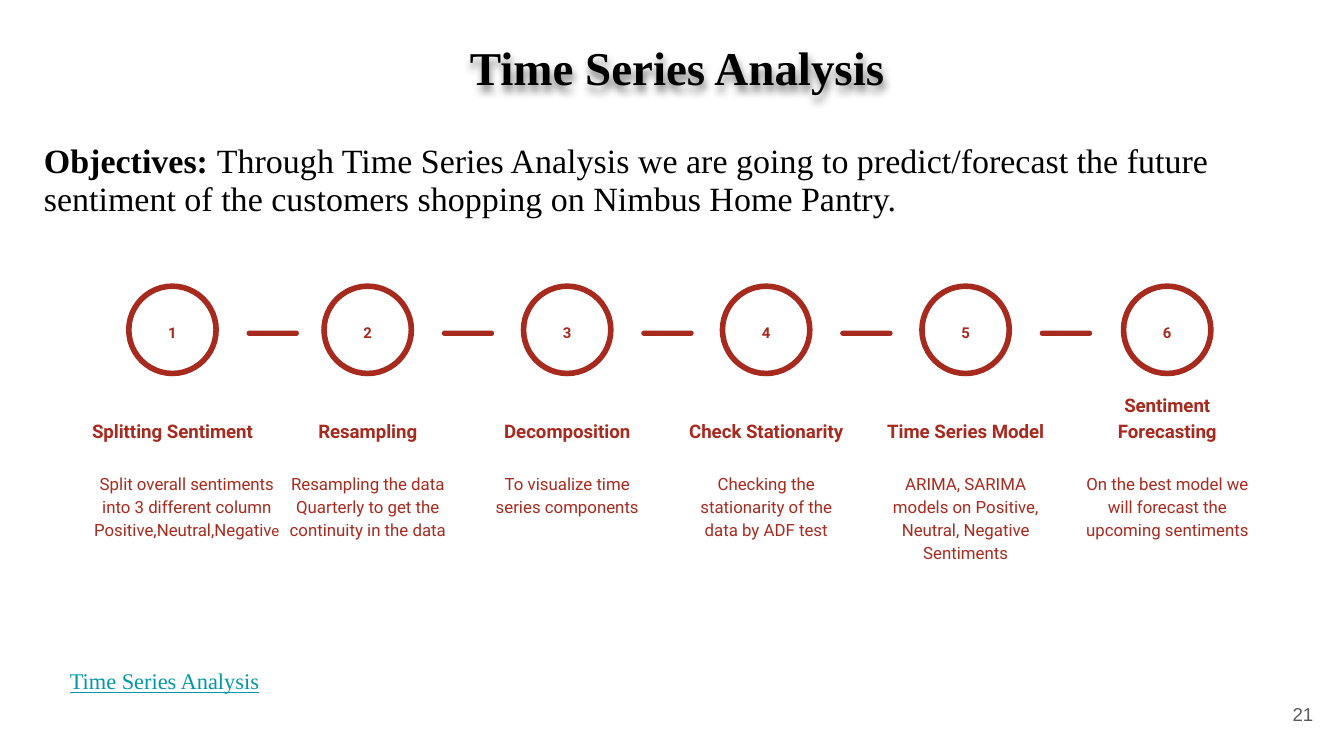
from lxml import etree
from pptx import Presentation
from pptx.dml.color import RGBColor
from pptx.enum import shapes, text
from pptx.oxml import parse_xml
from pptx.oxml.ns import nsdecls
from pptx.util import Cm, Pt

TITLE = "Time Series Analysis"
OBJECTIVE = [
    ("Objectives: ", "lead"),
    ("Through Time Series Analysis we are going to predict/forecast the future "
     "sentiment of the customers shopping on Nimbus Home Pantry.", "objective"),
]
LINK = "Time Series Analysis"
PAGE = "21"

# circle centre, heading width, body width (cm), heading, body runs
STEPS = [
    (3.26, 3.63, 4.17, "Splitting Sentiment",
     [("Split overall sentiments into 3 different column "
       "Positive,Neutral,Negativ", "body"), ("e", "small")]),
    (6.95, 3.63, 3.63, "Resampling",
     [("Resampling the data Quarterly to get the continuity in the data", "body")]),
    (10.72, 3.78, 3.78, "Decomposition",
     [("To visualize time series components", "body")]),
    (14.48, 3.63, 3.63, "Check Stationarity",
     [("Checking the stationarity of the data by ADF test", "body")]),
    (18.25, 3.78, 3.78, "Time Series Model",
     [("ARIMA, SARIMA models on Positive, Neutral, Negative Sentiments", "body")]),
    (22.06, 3.78, 3.78, "Sentiment Forecasting",
     [("On the best model we will forecast the upcoming sentiments", "body")]),
]

RED, BLACK, TEAL, GREY = (RGBColor.from_string(c) for c in
                          ("A72A1E", "000000", "0097A7", "595959"))
SERIF, SANS = "Times New Roman", "Roboto"
THEME = {
    "title": dict(name=SERIF, size=Pt(25.2), bold=True, color=BLACK),
    "lead": dict(name=SERIF, size=Pt(18.2), bold=True, color=BLACK),
    "objective": dict(name=SERIF, size=Pt(18.2), bold=False, color=BLACK),
    "number": dict(name=SANS, size=Pt(8), bold=True, color=RED),
    "heading": dict(name=SANS, size=Pt(10), bold=True, color=RED),
    "body": dict(name=SANS, size=Pt(9), color=RED),
    "small": dict(name=SANS, size=Pt(8), color=RED),
    "link": dict(name=SERIF, size=Pt(12), underline=True, color=TEAL),
    "page": dict(name="Arial", size=Pt(10), color=GREY),
}
CENTER, RIGHT = text.PP_ALIGN.CENTER, text.PP_ALIGN.RIGHT
BOTTOM, MIDDLE = text.MSO_ANCHOR.BOTTOM, text.MSO_ANCHOR.MIDDLE

CIRCLE, CIRCLE_TOP = 1.65, 5.41
DASH_W, DASH_H, DASH_TOP, DASH_OFFSET = 0.99, 0.1, 6.25, 1.4


def add_text(parent, box, runs, anchor=text.MSO_ANCHOR.TOP, **para):
    """Add a one-paragraph text box; runs are (wording, theme style) pairs."""
    sp = parent.add_textbox(*map(Cm, box))
    tf = sp.text_frame
    tf.word_wrap, tf.vertical_anchor = True, anchor
    for side in ("left", "top", "right", "bottom"):
        setattr(tf, f"margin_{side}", Cm(0.25))
    p = tf.paragraphs[0]
    for key, value in para.items():
        setattr(p, key, value)
    for words, style in runs:
        r = p.add_run()
        r.text = words
        for key, value in THEME[style].items():
            if key == "color":
                r.font.color.rgb = value
            else:
                setattr(r.font, key, value)
    return sp


def add_shape(parent, kind, box):
    sp = parent.add_shape(kind, *map(Cm, box))
    sp.shadow.inherit = False
    return sp


def add_soft_shadow(sp):
    sp._element.spPr.append(parse_xml(
        f'<a:effectLst {nsdecls("a")}>'
        '<a:outerShdw blurRad="57150" dist="38100" dir="5400000" algn="bl" rotWithShape="0">'
        '<a:srgbClr val="000000"><a:alpha val="50000"/></a:srgbClr>'
        '</a:outerShdw></a:effectLst>'))


def add_step(s, number, centre, head_w, body_w, heading, body):
    group = s.shapes.add_group_shape().shapes
    circle = add_shape(group, shapes.MSO_SHAPE.OVAL,
                       (centre - CIRCLE / 2, CIRCLE_TOP, CIRCLE, CIRCLE))
    circle.fill.background()
    circle.line.color.rgb, circle.line.width = RED, Pt(3)
    left = centre - head_w / 2
    fmt = dict(alignment=CENTER, line_spacing=1.15)
    add_text(group, (centre - 0.61, 5.87, 1.22, 0.89), [(str(number), "number")], **fmt)
    add_text(group, (left, 7.37, head_w, 1.24), [(heading, "heading")], BOTTOM, **fmt)
    add_text(group, (left, 8.64, body_w, 2.06), body, **fmt)


def add_dash(s, centre):
    dash = add_shape(s.shapes, shapes.MSO_SHAPE.ROUNDED_RECTANGLE,
                     (centre + DASH_OFFSET, DASH_TOP, DASH_W, DASH_H))
    dash.adjustments[0] = 0.5
    dash.fill.solid()
    dash.fill.fore_color.rgb = RED
    dash.line.fill.background()


def main():
    prs = Presentation()
    prs.slide_width, prs.slide_height = Cm(25.4), Cm(14.29)
    s = prs.slides.add_slide(prs.slide_layouts[6])

    title = add_text(s.shapes, (0.86, 0.48, 23.88, 1.6), [(TITLE, "title")],
                     alignment=CENTER)
    add_soft_shadow(title)
    add_text(s.shapes, (0.58, 2.44, 23.83, 2.57), OBJECTIVE, line_spacing=0.95)
    for number, step in enumerate(STEPS, 1):
        add_step(s, number, *step)
        if number < len(STEPS):
            add_dash(s, step[0])
    add_text(s.shapes, (1.07, 12.29, 16.33, 1.02), [(LINK, "link")], line_spacing=1.15)
    add_text(s.shapes, (23.55, 12.95, 1.52, 1.09), [(PAGE, "page")], MIDDLE,
             alignment=RIGHT)
    prs.save("out.pptx")


if __name__ == "__main__":
    main()
